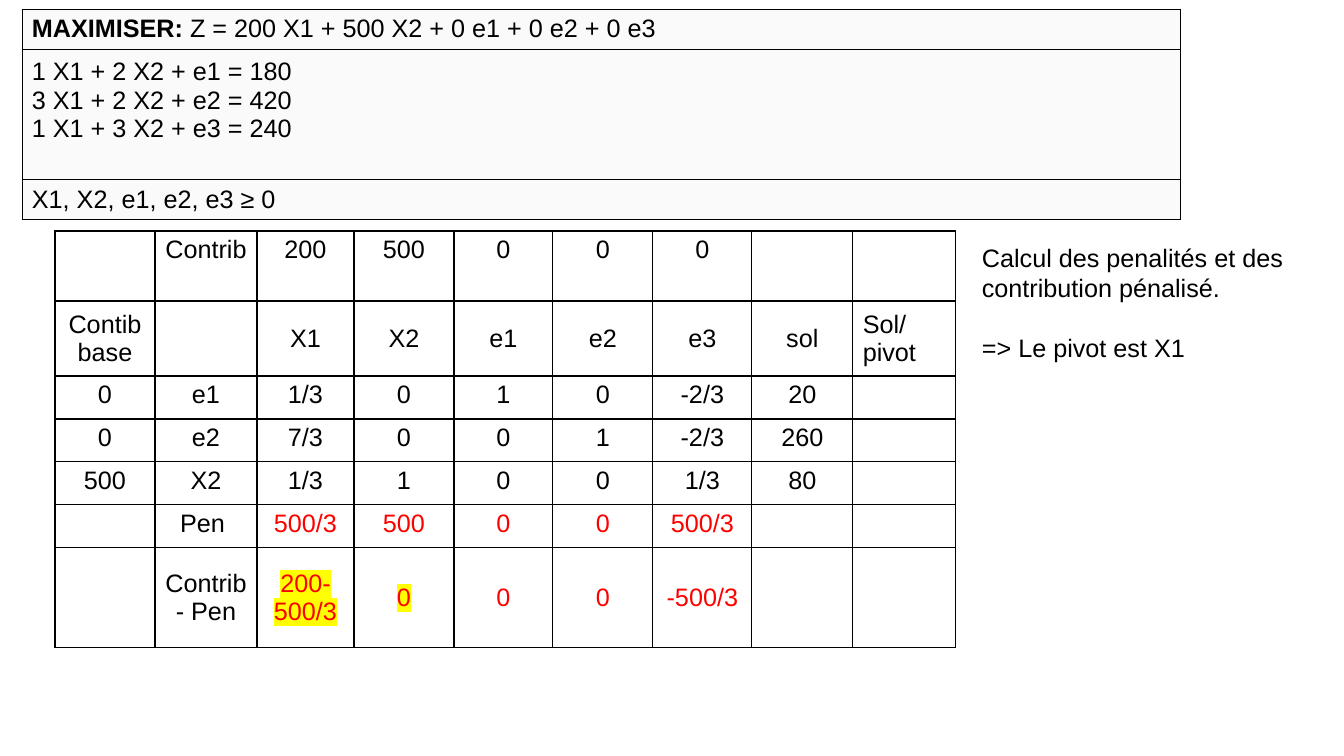
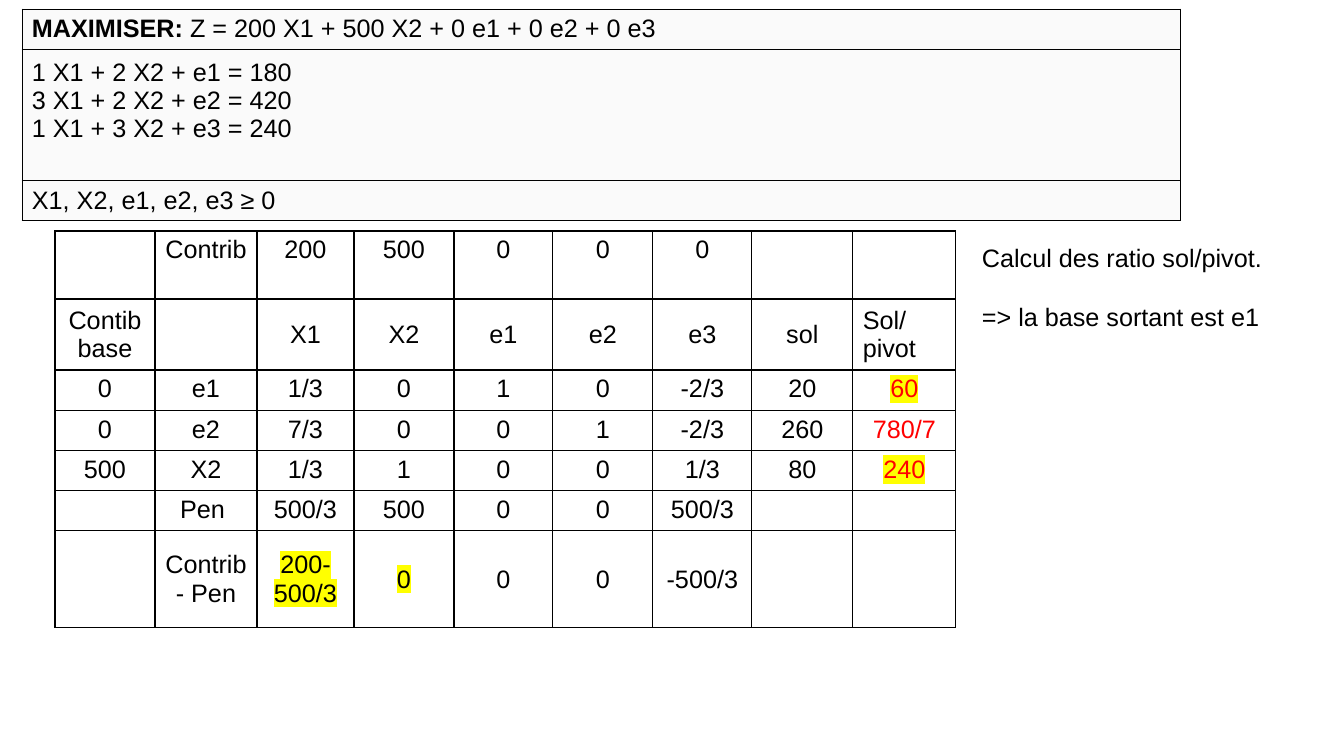
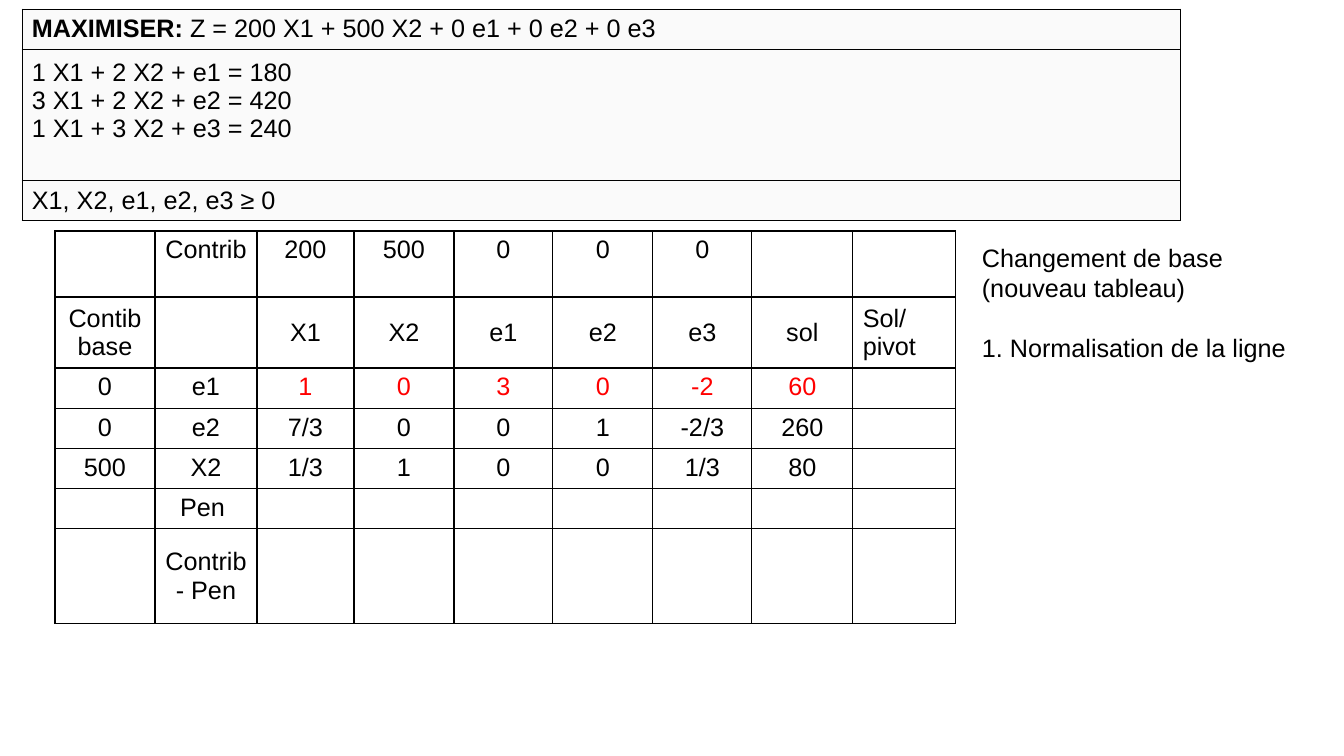
from itertools import product

from lxml.etree import SubElement
from pptx import Presentation
from pptx.dml.color import RGBColor
from pptx.enum.text import MSO_ANCHOR, PP_ALIGN
from pptx.oxml.ns import qn
from pptx.util import Emu, Pt

EMU_PER_PX = 914400 / 100.8
COLORS = {
    "text": "000000",
    "border": "000000",
    "panel": "FAFAFA",
    "result": "FF0000",
    "highlight": "FFFF00",
}
FONT = {"name": "Arial", "size": Pt(18), "bold": False}
PLAIN_TABLE = {"first_row": False, "horz_banding": False}
CELL_MARGINS = {"left": 10, "right": 10, "top": 5, "bottom": 5}

OBJECTIVE = ("MAXIMISER: ", "Z = 200 X1 + 500 X2 + 0 e1 + 0 e2 + 0 e3")
CONSTRAINTS = (
    "1 X1 + 2 X2 + e1 = 180",
    "3 X1 + 2 X2 + e2 = 420",
    "1 X1 + 3 X2 + e3 = 240",
)
SIGNS = "X1, X2, e1, e2, e3 ≥ 0"
COLUMN_WIDTHS = (100, 102, 97, 100, 99, 100, 99, 101, 103)
HEADERS = (
    ("", "Contrib", "200", "500", "0", "0", "0", "", ""),
    ("Contib base", "", "X1", "X2", "e1", "e2", "e3", "sol", "Sol/pivot"),
)
E1_ROW = ("0", "e1", "1/3", "0", "1", "0", "-2/3", "20")
E1_NORMALISED = ("0", "e1", "1", "0", "3", "0", "-2", "60")
E2_ROW = ("0", "e2", "7/3", "0", "0", "1", "-2/3", "260")
X2_ROW = ("500", "X2", "1/3", "1", "0", "0", "1/3", "80")
PENALTIES = ("500/3", "500", "0", "0", "500/3")
NET_CONTRIBUTIONS = ("200-500/3", "0", "0", "0", "-500/3")
EMPTY = ("",) * 5
MIDDLE_ROWS = (1, 6)
RATIO_COLUMN = 8
PIVOT_CHOICES = {(6, 2), (6, 3)}


def px(length):
    return Emu(round(length * EMU_PER_PX))


def apply(target, values):
    for name, value in values.items():
        setattr(target, name, value)


def simplex_rows(e1_row=E1_ROW, ratios=("", "", ""),
                 penalties=PENALTIES, net=NET_CONTRIBUTIONS):
    base_rows = zip((e1_row, E2_ROW, X2_ROW), ratios)
    return (
        *HEADERS,
        *((*row, ratio) for row, ratio in base_rows),
        ("", "Pen ", *penalties, "", ""),
        ("", "Contrib - Pen", *net, "", ""),
    )


STEPS = (
    {
        "rows": simplex_rows(),
        "heights": (70, 75, 43, 43, 43, 43, 100),
        "results": set(product((5, 6), range(2, 7))),
        "highlights": PIVOT_CHOICES,
        "notes": ("Calcul des penalités et des contribution pénalisé.",
                  "=> Le pivot est X1"),
    },
    {
        "rows": simplex_rows(ratios=("60", "780/7", "240")),
        "heights": (68, 71, 40, 40, 40, 40, 97),
        "results": set(product((2, 3, 4), (RATIO_COLUMN,))),
        "highlights": PIVOT_CHOICES | {(2, RATIO_COLUMN), (4, RATIO_COLUMN)},
        "notes": ("Calcul des ratio sol/pivot.", "=> la base sortant est e1"),
    },
    {
        "rows": simplex_rows(E1_NORMALISED, penalties=EMPTY, net=EMPTY),
        "heights": (66, 71, 40, 40, 40, 40, 95),
        "results": set(product((2,), range(2, 8))),
        "highlights": set(),
        "notes": ("Changement de base (nouveau tableau)",
                  "1. Normalisation de la ligne"),
    },
)


class Deck:
    def __init__(self):
        self.presentation = Presentation()
        apply(self.presentation, {"slide_width": px(1344), "slide_height": px(756)})
        self.slide = None

    def add_slide(self):
        self.slide = self.presentation.slides.add_slide(self.presentation.slide_layouts[6])

    def run(self, paragraph, text, color="text", highlight=False, **font_values):
        run = paragraph.add_run()
        run.text = text
        apply(run.font, {**FONT, **font_values})
        run.font.color.rgb = RGBColor.from_string(COLORS[color])
        if highlight:
            properties = run.font._element
            mark = SubElement(properties, qn("a:highlight"))
            SubElement(mark, qn("a:srgbClr"), val=COLORS["highlight"])
            properties.find(qn("a:solidFill")).addnext(mark)

    def cell_style(self, cell, border_width, fill=None, anchor=MSO_ANCHOR.MIDDLE):
        apply(cell, {f"margin_{side}": px(size) for side, size in CELL_MARGINS.items()})
        cell.vertical_anchor = anchor
        properties = cell._tc.get_or_add_tcPr()
        for side in ("lnL", "lnR", "lnT", "lnB"):
            line = SubElement(properties, qn(f"a:{side}"), w=str(Pt(border_width)))
            color = SubElement(SubElement(line, qn("a:solidFill")), qn("a:srgbClr"))
            color.set("val", COLORS["border"])
        if fill:
            cell.fill.solid()
            cell.fill.fore_color.rgb = RGBColor.from_string(COLORS[fill])
        else:
            cell.fill.background()

    def table(self, left, top, widths, heights):
        table = self.slide.shapes.add_table(
            len(heights), len(widths), px(left), px(top),
            px(sum(widths)), px(sum(heights))).table
        apply(table, PLAIN_TABLE)
        for column, width in zip(table.columns, widths):
            column.width = px(width)
        for row, height in zip(table.rows, heights):
            row.height = px(height)
        return table

    def problem(self):
        table = self.table(22, 9, (1159,), (40, 131, 40))
        cells = [table.cell(row, 0) for row in range(3)]
        for cell in cells:
            self.cell_style(cell, 0.75, "panel")
        objective, constraints, signs = (cell.text_frame.paragraphs[0] for cell in cells)
        self.run(objective, OBJECTIVE[0], bold=True)
        self.run(objective, OBJECTIVE[1])
        for index, constraint in enumerate(CONSTRAINTS):
            if index:
                constraints.add_line_break()
            self.run(constraints, constraint)
        cells[1].margin_bottom = px(33)
        self.run(signs, SIGNS)

    def tableau(self, rows, heights, results, highlights):
        """Draw the simplex table; results and highlights are (row, column) sets."""
        table = self.table(55, 231, COLUMN_WIDTHS, heights)
        for position in product(range(len(heights)), range(len(COLUMN_WIDTHS))):
            row, column = position
            cell = table.cell(row, column)
            anchor = MSO_ANCHOR.MIDDLE if row in MIDDLE_ROWS else MSO_ANCHOR.TOP
            self.cell_style(cell, 0.96, anchor=anchor)
            text = rows[row][column]
            if text:
                paragraph = cell.text_frame.paragraphs[0]
                left_aligned = position == (1, RATIO_COLUMN)
                paragraph.alignment = PP_ALIGN.LEFT if left_aligned else PP_ALIGN.CENTER
                self.run(paragraph, text, "result" if position in results else "text",
                         position in highlights)

    def notes(self, conclusion_gap, explanation, conclusion):
        frame = self.slide.shapes.add_textbox(px(972), px(237), px(364), px(368)).text_frame
        frame.word_wrap = True
        self.run(frame.paragraphs[0], explanation)
        paragraph = frame.add_paragraph()
        paragraph.space_before = Pt(conclusion_gap)
        self.run(paragraph, conclusion)


def main():
    deck = Deck()
    for step in STEPS:
        deck.add_slide()
        deck.problem()
        deck.tableau(step["rows"], step["heights"], step["results"], step["highlights"])
        deck.notes(21, *step["notes"])
    deck.presentation.save("out.pptx")


if __name__ == "__main__":
    main()
